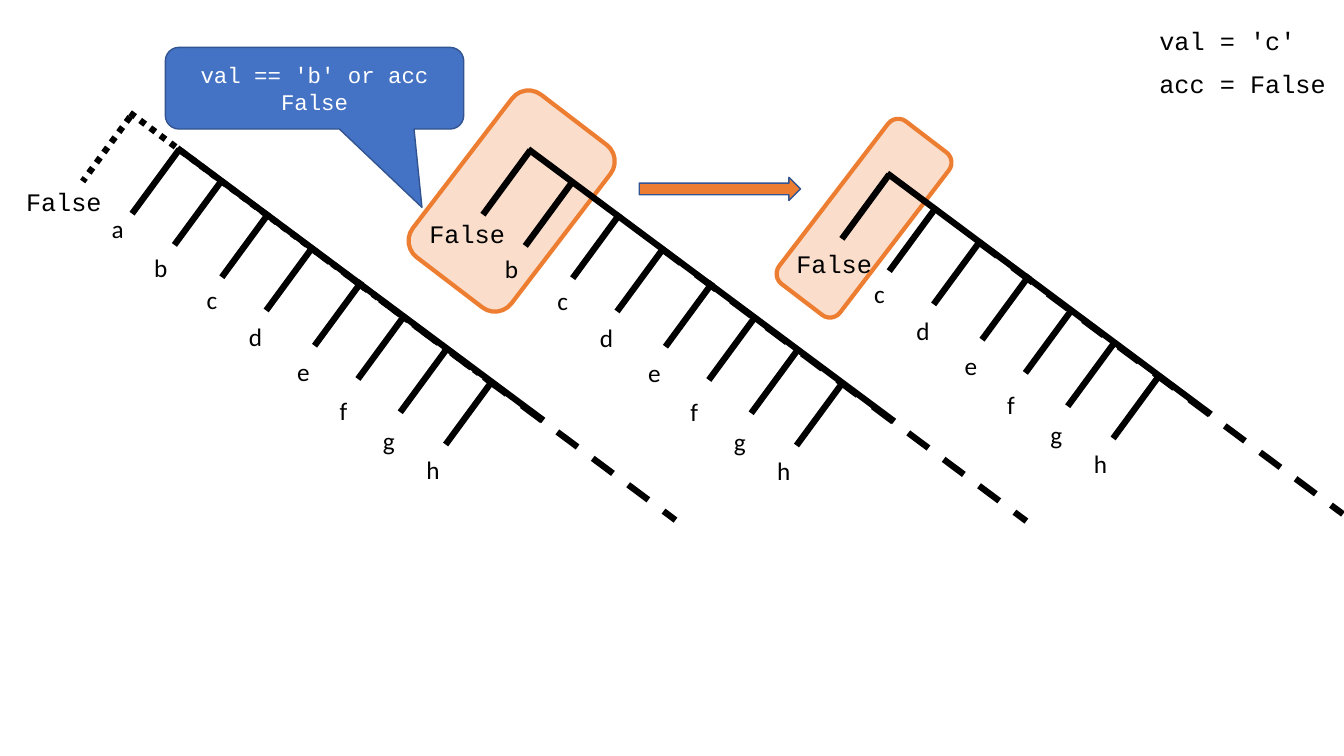
from dataclasses import dataclass

from lxml import etree
from pptx import Presentation
from pptx.dml.color import RGBColor
from pptx.enum.dml import MSO_LINE
from pptx.enum.shapes import MSO_CONNECTOR, MSO_SHAPE
from pptx.enum.text import MSO_ANCHOR, MSO_AUTO_SIZE, PP_ALIGN
from pptx.oxml.ns import qn
from pptx.util import Inches, Pt

STRAIGHT = MSO_CONNECTOR.STRAIGHT
DASH, DOT = MSO_LINE.DASH, MSO_LINE.ROUND_DOT
ROUNDED = MSO_SHAPE.ROUNDED_RECTANGLE
CALLOUT = MSO_SHAPE.ROUNDED_RECTANGULAR_CALLOUT
RIGHT_ARROW = MSO_SHAPE.RIGHT_ARROW
FIT_TEXT = MSO_AUTO_SIZE.SHAPE_TO_FIT_TEXT
MIDDLE, CENTER = MSO_ANCHOR.MIDDLE, PP_ALIGN.CENTER


@dataclass(frozen=True)
class Theme:
    ink: RGBColor = RGBColor(0x00, 0x00, 0x00)
    white: RGBColor = RGBColor(0xFF, 0xFF, 0xFF)
    blue: RGBColor = RGBColor(0x44, 0x72, 0xC4)
    outline: RGBColor = RGBColor(0x32, 0x54, 0x91)
    orange: RGBColor = RGBColor(0xED, 0x7D, 0x31)
    body_font: str = "Calibri"
    code_font: str = "Courier New"
    label_size: int = 18
    callout_size: int = 16
    tree_line: float = 4.5
    highlight_line: float = 3
    thin_line: float = 1


THEME = Theme()

# Letter, node x and y, label x, y and width, all from the node of "a"
NODES = [
    ("a", 0, 0, -0.77, 0.59, 0.32),
    ("b", 0.42, 0.31, -0.35, 0.97, 0.34),
    ("c", 0.89, 0.63, 0.17, 1.29, 0.32),
    ("d", 1.33, 0.96, 0.59, 1.66, 0.32),
    ("e", 1.81, 1.31, 1.07, 2.01, 0.33),
    ("f", 2.24, 1.64, 1.49, 2.39, 0.28),
    ("g", 2.66, 1.97, 1.92, 2.69, 0.32),
    ("h", 3.11, 2.29, 2.35, 2.98, 0.34),
]
BRANCH_WIDTH, BRANCH_HEIGHT = 0.47, 0.64
SPINE_END = (3.61, 2.69)
TAIL_START, TAIL_END = (1.29, 0.97), (4.92, 3.68)


def add_line(slide, start, end, dash=None):
    points = [Inches(value) for value in (*start, *end)]
    connector = slide.shapes.add_connector(STRAIGHT, *points)
    connector.line.color.rgb = THEME.ink
    connector.line.width = Pt(THEME.tree_line)
    if dash is not None:
        connector.line.dash_style = dash
    etree.SubElement(connector._element.spPr, qn("a:effectLst"))


def add_branch(slide, left, top, dash=None):
    add_line(slide, (left, top), (left - BRANCH_WIDTH, top + BRANCH_HEIGHT), dash)


def add_label(slide, text, left, top, width, font):
    box = slide.shapes.add_textbox(
        Inches(left), Inches(top), Inches(width), Inches(0.4))
    frame = box.text_frame
    frame.word_wrap = False
    frame.auto_size = FIT_TEXT
    frame.text = text
    run_font = frame.paragraphs[0].runs[0].font
    run_font.name = font
    run_font.size = Pt(THEME.label_size)
    run_font.color.rgb = THEME.ink


def add_filled_shape(slide, kind, box, fill, line, line_width):
    shape = slide.shapes.add_shape(kind, *[Inches(value) for value in box])
    shape.shadow.inherit = False
    shape.fill.solid()
    shape.fill.fore_color.rgb = fill
    shape.line.color.rgb = line
    shape.line.width = Pt(line_width)
    return shape


def add_tree(slide, left, top, first_letter=0, accumulator=None):
    """Draw a list as a right-leaning tree whose "a" node sits at left, top.

    An accumulator position puts "False" on the first branch.
    """
    def at(point):
        return left + point[0], top + point[1]

    nodes = NODES[first_letter:]
    if accumulator:
        first_node = NODES[first_letter - 1]
        nodes = [first_node] + nodes
    add_line(slide, at((nodes[0][1] - 0.02, nodes[0][2] - 0.01)), at(SPINE_END))
    add_line(slide, at(TAIL_START), at(TAIL_END), DASH)
    for letter, node_x, node_y, label_x, label_y, width in nodes:
        add_branch(slide, *at((node_x, node_y)))
        if accumulator and letter == first_node[0]:
            add_label(slide, "False", *at(accumulator), 0.96, THEME.code_font)
        else:
            add_label(slide, letter, *at((label_x, label_y)), width,
                      THEME.body_font)


def add_initial_value(slide, left, top):
    """Draw the dotted starting value joined to the first tree."""
    add_line(slide, (left, top), (left + 3.63, top + 2.71), DOT)
    add_branch(slide, left, top + 0.04, DOT)
    add_label(slide, "False", left - 1.13, top + 0.68, 0.96, THEME.code_font)


def add_highlight(slide, left, top, width, height):
    shape = add_filled_shape(slide, ROUNDED, (left, top, width, height),
                             THEME.orange, THEME.orange, THEME.highlight_line)
    shape.rotation = 37.4
    color = shape._element.spPr.find(qn("a:solidFill"))[0]
    etree.SubElement(color, qn("a:alpha"), val="25000")


def add_callout(slide, left, top, width, height):
    shape = add_filled_shape(slide, CALLOUT, (left, top, width, height),
                             THEME.blue, THEME.outline, THEME.thin_line)
    shape.adjustments[0] = 0.36
    shape.adjustments[1] = 1.46
    frame = shape.text_frame
    frame.vertical_anchor = MIDDLE
    frame.text = "val == 'b' or acc\nFalse"
    for paragraph in frame.paragraphs:
        paragraph.alignment = CENTER
        font = paragraph.runs[0].font
        font.name = THEME.code_font
        font.size = Pt(THEME.callout_size)
        font.color.rgb = THEME.white


def add_state(slide, left, top):
    add_label(slide, "val = 'c'", left, top, 1.56, THEME.code_font)
    add_label(slide, "acc = False", left, top + 0.43, 1.86, THEME.code_font)


def build_fold_slide(slide):
    add_tree(slide, 1.78, 1.48)
    add_initial_value(slide, 1.29, 1.12)

    add_highlight(slide, 4.46, 0.98, 1.23, 2.03)
    add_callout(slide, 1.64, 0.47, 2.96, 0.81)
    add_tree(slide, 5.26, 1.49, first_letter=1, accumulator=(-1.1, 0.63))

    add_highlight(slide, 8.19, 1.15, 0.76, 2.03)
    add_filled_shape(slide, RIGHT_ARROW, (6.34, 1.76, 1.6, 0.23),
                     THEME.orange, THEME.outline, THEME.thin_line)
    add_tree(slide, 8.4, 1.42, first_letter=2, accumulator=(-0.6, 0.99))

    add_state(slide, 11.4, 0.2)


def main():
    presentation = Presentation()
    presentation.slide_width = Inches(13.33)
    presentation.slide_height = Inches(7.5)
    blank_layout = presentation.slide_layouts[6]
    build_fold_slide(presentation.slides.add_slide(blank_layout))
    presentation.save("out.pptx")


if __name__ == "__main__":
    main()
